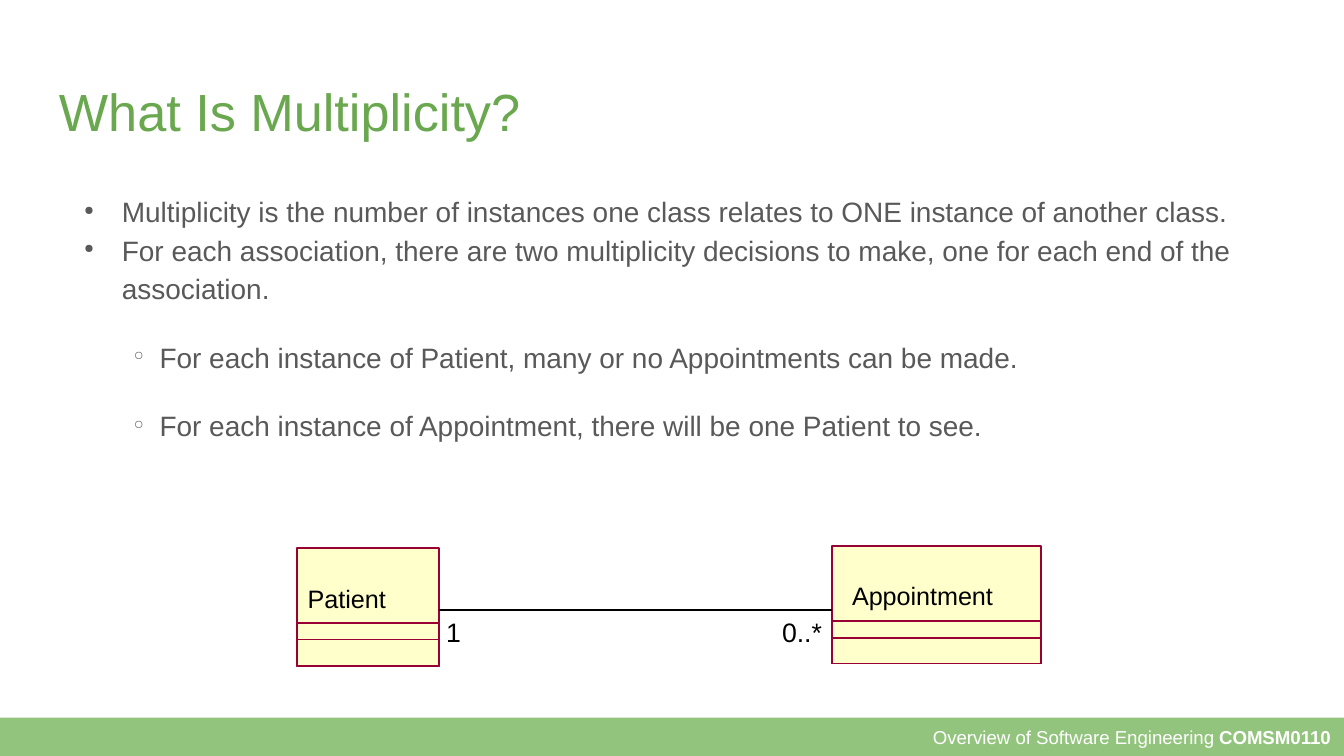
"""Build the multiplicity slide with its two-class association diagram."""
from dataclasses import dataclass

from lxml.etree import SubElement
from pptx import Presentation
from pptx.dml.color import RGBColor
from pptx.enum.shapes import MSO_CONNECTOR as Connector, MSO_SHAPE as Preset
from pptx.enum.text import MSO_ANCHOR as Anchor, PP_ALIGN as Align
from pptx.oxml.ns import qn
from pptx.util import Pt

FONT = "Arial"
GREEN = RGBColor(0x6A, 0xA8, 0x4F)
BAR_GREEN = RGBColor(0x93, 0xC4, 0x7D)
GREY = RGBColor(0x59, 0x59, 0x59)
CREAM = RGBColor(0xFF, 0xFF, 0xCC)
MAROON = RGBColor(0x99, 0x00, 0x33)
BLACK = RGBColor(0x00, 0x00, 0x00)
WHITE = RGBColor(0xFF, 0xFF, 0xFF)
INSET = 7.2


@dataclass
class Area:
    left: float
    top: float
    width: float
    height: float

    def lengths(self) -> list:
        return [Pt(value) for value in (self.left, self.top, self.width, self.height)]


@dataclass
class Bullet:
    text: str
    symbol: str = "●"
    level: int = 0
    indent: float = 20.2
    hanging: float = 20.2
    space_before: float = 0


@dataclass
class ClassBox:
    name: str
    area: Area
    label: Area
    dividers: tuple


@dataclass
class Multiplicity:
    text: str
    area: Area


BULLETS = [
    Bullet("Multiplicity is the number of instances one class relates to ONE instance of another class."),
    Bullet("For each association, there are two multiplicity decisions to make, "
           "one for each end of the association."),
    Bullet("For each instance of Patient, many or no Appointments can be made.",
           "○", 1, 40.4, 13.7, 16),
    Bullet("For each instance of Appointment, there will be one Patient to see.",
           "○", 1, 40.4, 13.7, 16),
]
CLASSES = [
    ClassBox("Patient", Area(159, 293.6, 76, 63.1), Area(164.9, 312.6, 42, 16.5), (40.3, 49)),
    ClassBox("Appointment", Area(445.7, 292.4, 112.2, 63.1), Area(456.5, 311.2, 76, 16.5), (40.5, 49.3)),
]
MULTIPLICITIES = [
    Multiplicity("1", Area(239, 330, 8, 17)),
    Multiplicity("0..*", Area(419, 330, 22, 17)),
]
ASSOCIATION_Y = 327


def add_span(para, text: str, size: float, color: RGBColor, bold: bool = False) -> None:
    span = para.add_run()
    span.text = text
    span.font.name = FONT
    span.font.size = Pt(size)
    span.font.bold = bold
    span.font.color.rgb = color


def set_insets(frame, inset: float) -> None:
    frame.margin_left = frame.margin_right = Pt(inset)
    frame.margin_top = frame.margin_bottom = Pt(inset)


def add_text_frame(page, area: Area, inset: float = 0, wrap: bool = False):
    frame = page.shapes.add_textbox(*area.lengths()).text_frame
    frame.word_wrap = wrap
    set_insets(frame, inset)
    return frame


def add_rectangle(page, area: Area, fill: RGBColor | None = None, line: RGBColor | None = None):
    box = page.shapes.add_shape(Preset.RECTANGLE, *area.lengths())
    box.shadow.inherit = False
    if fill is None:
        box.fill.background()
    else:
        box.fill.solid()
        box.fill.fore_color.rgb = fill
    if line is None:
        box.line.fill.background()
    else:
        box.line.color.rgb = line
        box.line.width = Pt(1)
    return box


def add_bullet(para, bullet: Bullet) -> None:
    para.level = bullet.level
    para.line_spacing = 1.15
    para.space_before = Pt(bullet.space_before)
    properties = para._p.get_or_add_pPr()
    properties.set("marL", str(Pt(bullet.indent)))
    properties.set("indent", str(-Pt(bullet.hanging)))
    color = SubElement(properties, qn("a:buClr"))
    SubElement(color, qn("a:srgbClr"), val=str(GREY))
    SubElement(properties, qn("a:buSzPct"), val="45000")
    SubElement(properties, qn("a:buChar"), char=bullet.symbol)
    add_span(para, bullet.text, 15, GREY)


def add_class(page, item: ClassBox) -> None:
    add_rectangle(page, item.area, CREAM, MAROON)
    for offset in item.dividers:
        compartment = Area(item.area.left, item.area.top + offset,
                           item.area.width, item.area.height - offset)
        add_rectangle(page, compartment, line=MAROON)
    frame = add_text_frame(page, item.label)
    add_span(frame.paragraphs[0], item.name, 13.5, BLACK)


def add_association(page, source: ClassBox, target: ClassBox) -> None:
    start = source.area.left + source.area.width
    link = page.shapes.add_connector(Connector.STRAIGHT, Pt(start), Pt(ASSOCIATION_Y),
                                     Pt(target.area.left), Pt(ASSOCIATION_Y))
    link.line.color.rgb = BLACK
    link.line.width = Pt(1)
    SubElement(link._element.spPr, qn("a:effectLst"))


def add_footer(page) -> None:
    frame = add_rectangle(page, Area(0, 384.5, 720, 20.5), BAR_GREEN).text_frame
    set_insets(frame, INSET)
    frame.word_wrap = True
    frame.vertical_anchor = Anchor.MIDDLE
    para = frame.paragraphs[0]
    para.alignment = Align.RIGHT
    add_span(para, "Overview of Software Engineering ", 10, WHITE)
    add_span(para, "COMSM0110", 10, WHITE, bold=True)


def main() -> None:
    deck = Presentation()
    deck.slide_width, deck.slide_height = Pt(720), Pt(405)
    page = deck.slides.add_slide(deck.slide_layouts[6])
    add_footer(page)
    title = add_text_frame(page, Area(24.5, 35.3, 671, 45.4), INSET, wrap=True)
    add_span(title.paragraphs[0], "What Is Multiplicity?", 28, GREEN)
    body = add_text_frame(page, Area(38, 94.3, 631.5, 213.8), INSET, wrap=True)
    for index, bullet in enumerate(BULLETS):
        add_bullet(body.add_paragraph() if index else body.paragraphs[0], bullet)
    for item in CLASSES:
        add_class(page, item)
    add_association(page, *CLASSES)
    for end in MULTIPLICITIES:
        frame = add_text_frame(page, end.area)
        add_span(frame.paragraphs[0], end.text, 14.3, BLACK)
    deck.save("out.pptx")


if __name__ == "__main__":
    main()
